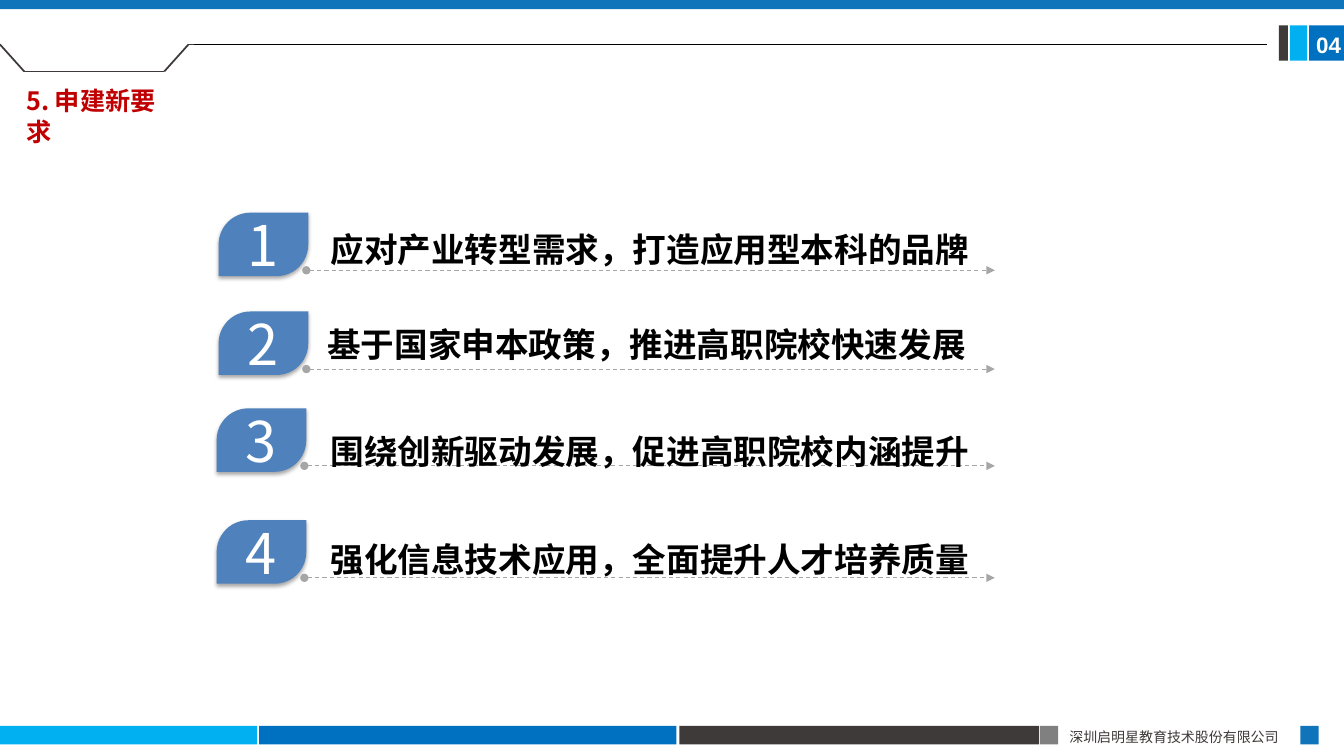
from itertools import pairwise

from lxml import etree
from pptx import Presentation
from pptx import util as u
from pptx.dml.color import RGBColor
from pptx.enum import dml, shapes, text
from pptx.oxml import ns

BLUE = RGBColor(0x00, 0x70, 0xC0)
BAND_BLUE = RGBColor(0x10, 0x74, 0xBB)
SKY = RGBColor(0x00, 0xB0, 0xF0)
CHARCOAL = RGBColor(0x3E, 0x3A, 0x39)
GREY = RGBColor(0x80, 0x80, 0x80)
ARROW_GREY = RGBColor(0xA6, 0xA6, 0xA6)
BADGE_BLUE = RGBColor(0x4F, 0x81, 0xBD)
RED = RGBColor(0xC0, 0x00, 0x00)
BLACK = RGBColor(0x00, 0x00, 0x00)
WHITE = RGBColor(0xFF, 0xFF, 0xFF)

CJK = "Noto Sans CJK SC"
LATIN = "Arial"


def write(frame, words, *, size, color, font=CJK, bold=False, pitch=None,
          align=text.PP_ALIGN.LEFT, anchor=text.MSO_ANCHOR.TOP, inset=0.18):
    """Fill a text frame with one formatted paragraph."""
    frame.word_wrap = True
    frame.auto_size = text.MSO_AUTO_SIZE.NONE
    frame.vertical_anchor = anchor
    frame.margin_left = frame.margin_right = u.Cm(0.25)
    frame.margin_top, frame.margin_bottom = u.Cm(inset), u.Cm(0.13)
    paragraph = frame.paragraphs[0]
    paragraph.alignment = align
    if pitch:
        paragraph.line_spacing = u.Pt(size * pitch)
    run = paragraph.add_run()
    run.text = words
    run.font.size, run.font.bold, run.font.name = u.Pt(size), bold, font
    run.font.color.rgb = color
    east_asian = etree.SubElement(run.font._element, ns.qn("a:ea"))
    east_asian.set("typeface", font)


class Deck:
    """Holds the presentation, its shared style and the current slide."""

    line_pitch = 1.2

    def __init__(self, width, height):
        self.file = Presentation()
        self.file.slide_width, self.file.slide_height = u.Cm(width), u.Cm(height)
        self.slide = self.file.slides.add_slide(self.file.slide_layouts[5])

    def title(self, words, left, top, width, height, **style):
        heading = self.slide.shapes.title
        heading.left, heading.top = u.Cm(left), u.Cm(top)
        heading.width, heading.height = u.Cm(width), u.Cm(height)
        write(heading.text_frame, words, pitch=self.line_pitch, **style)

    def label(self, words, left, top, width, height, **style):
        box = self.slide.shapes.add_textbox(*map(u.Cm, (left, top, width, height)))
        write(box.text_frame, words, pitch=self.line_pitch, **style)

    def block(self, left, top, width, height, color,
              preset=shapes.MSO_SHAPE.RECTANGLE):
        block = self.slide.shapes.add_shape(
            preset, *map(u.Cm, (left, top, width, height)))
        block.shadow.inherit = False
        block.fill.solid()
        block.fill.fore_color.rgb = color
        block.line.fill.background()
        return block

    def badge(self, number, left, top, width, height):
        badge = self.block(left, top, width, height, BADGE_BLUE,
                           shapes.MSO_SHAPE.ROUND_2_DIAG_RECTANGLE)
        badge.adjustments[0], badge.adjustments[1] = 0.5, 0
        effects = badge._element.spPr.find(ns.qn("a:effectLst"))
        shadow = etree.SubElement(
            effects, ns.qn("a:outerShdw"), blurRad=str(int(u.Pt(3.1))),
            dist=str(int(u.Pt(1.8))), dir="5400000", rotWithShape="0")
        tint = etree.SubElement(shadow, ns.qn("a:srgbClr"), val="000000")
        etree.SubElement(tint, ns.qn("a:alpha"), val="35000")
        write(badge.text_frame, str(number), size=40, color=WHITE, inset=0.13,
              align=text.PP_ALIGN.CENTER, anchor=text.MSO_ANCHOR.MIDDLE)

    def line(self, start, end, color, weight):
        line = self.slide.shapes.add_connector(
            shapes.MSO_CONNECTOR.STRAIGHT, *map(u.Cm, (*start, *end)))
        line.line.color.rgb = color
        line.line.width = u.Pt(weight)
        etree.SubElement(line._element.spPr, ns.qn("a:effectLst"))
        return line

    def dashed_arrow(self, start, end):
        arrow = self.line(start, end, ARROW_GREY, 0.75)
        arrow.line.dash_style = dml.MSO_LINE.DASH
        outline = arrow._element.spPr.find(ns.qn("a:ln"))
        etree.SubElement(outline, ns.qn("a:headEnd"), type="oval")
        etree.SubElement(outline, ns.qn("a:tailEnd"), type="triangle")


def main():
    deck = Deck(33.87, 19.05)

    # Footer bar and company name
    for left, width, color in ((0, 6.48, SKY), (6.53, 10.52, BLUE),
                               (17.12, 9.07, CHARCOAL), (26.21, 0.46, GREY),
                               (32.77, 0.46, BAND_BLUE)):
        deck.block(left, 18.29, width, 0.47, color)
    deck.label("深圳启明星教育技术股份有限公司", 26.7, 18.19, 6.1, 0.69,
               size=10, color=CHARCOAL)

    # Top band and page number
    deck.block(0, 0, 33.87, 0.23, BAND_BLUE)
    for left, width, color in ((32.99, 0.88, BLUE), (32.51, 0.43, SKY),
                               (32.23, 0.23, CHARCOAL)):
        deck.block(left, 0.64, width, 0.89, color)
    deck.label("04", 32.92, 0.66, 1.27, 0.94, size=16, color=WHITE,
               font=LATIN, bold=True, inset=0.13)

    # Header outline and section title
    tab_outline = ((0, 1.12), (0.61, 1.8), (4.14, 1.8), (4.75, 1.12), (21.06, 1.12))
    for start, end in pairwise(tab_outline):
        deck.line(start, end, CHARCOAL, 1.25)
    deck.line((4.9, 1.12), (31.93, 1.12), BLACK, 0.5)
    deck.title("5. 申建新要求", 0.41, 1.98, 4.3, 1.02, size=18, color=RED, bold=True)

    # Numbered requirements: badge position, then wording and its position
    requirements = (
        (5.51, 5.36, "应对产业转型需求，打造应用型本科的品牌", 8.08, 5.59),
        (5.51, 7.85, "基于国家申本政策，推进高职院校快速发展", 8.0, 7.98),
        (5.46, 10.29, "围绕创新驱动发展，促进高职院校内涵提升", 8.08, 10.67),
        (5.46, 13.11, "强化信息技术应用，全面提升人才培养质量", 8.08, 13.39),
    )
    for number, (left, top, wording, text_left, text_top) in enumerate(requirements, 1):
        deck.badge(number, left, top, 2.26, 1.6)
        deck.dashed_arrow((left + 2.21, top + 1.45), (25.07, top + 1.45))
        deck.label(wording, text_left, text_top, 18, 1.27,
                   size=24, color=BLACK, bold=True)

    deck.file.save("out.pptx")


if __name__ == "__main__":
    main()
